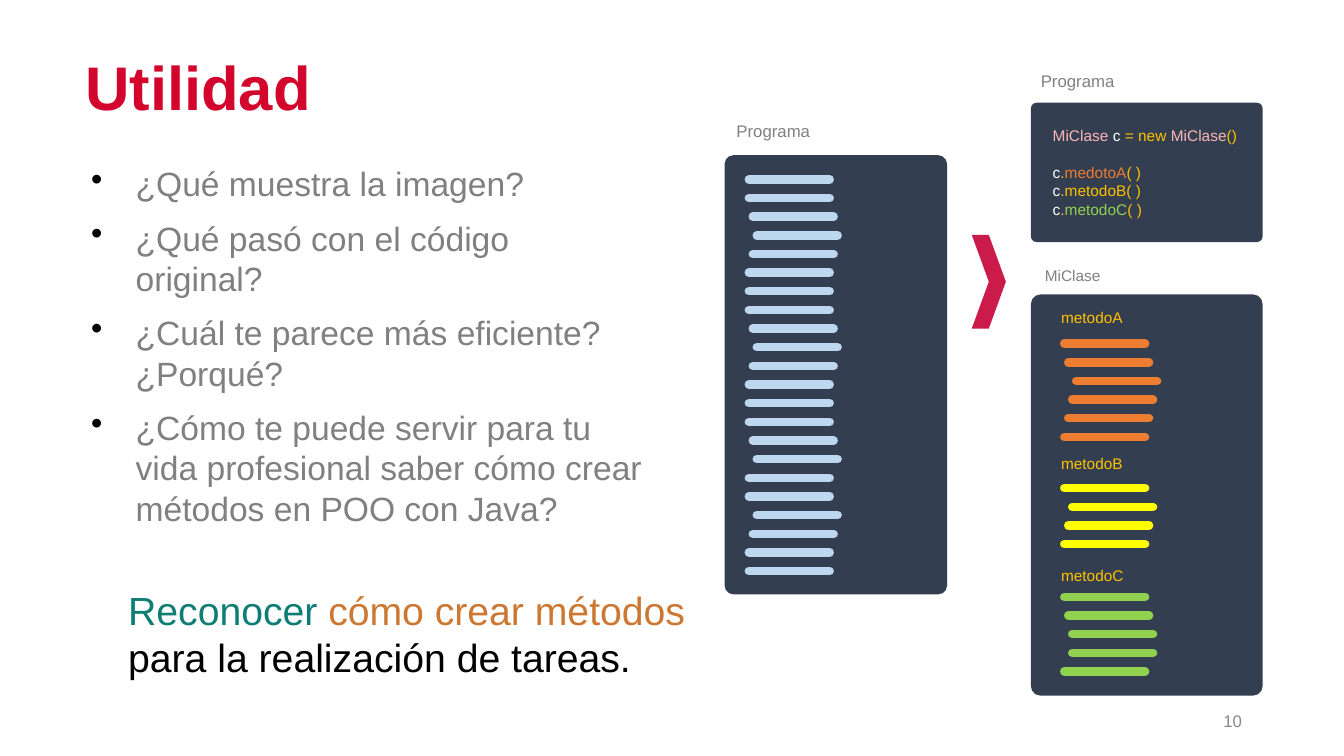
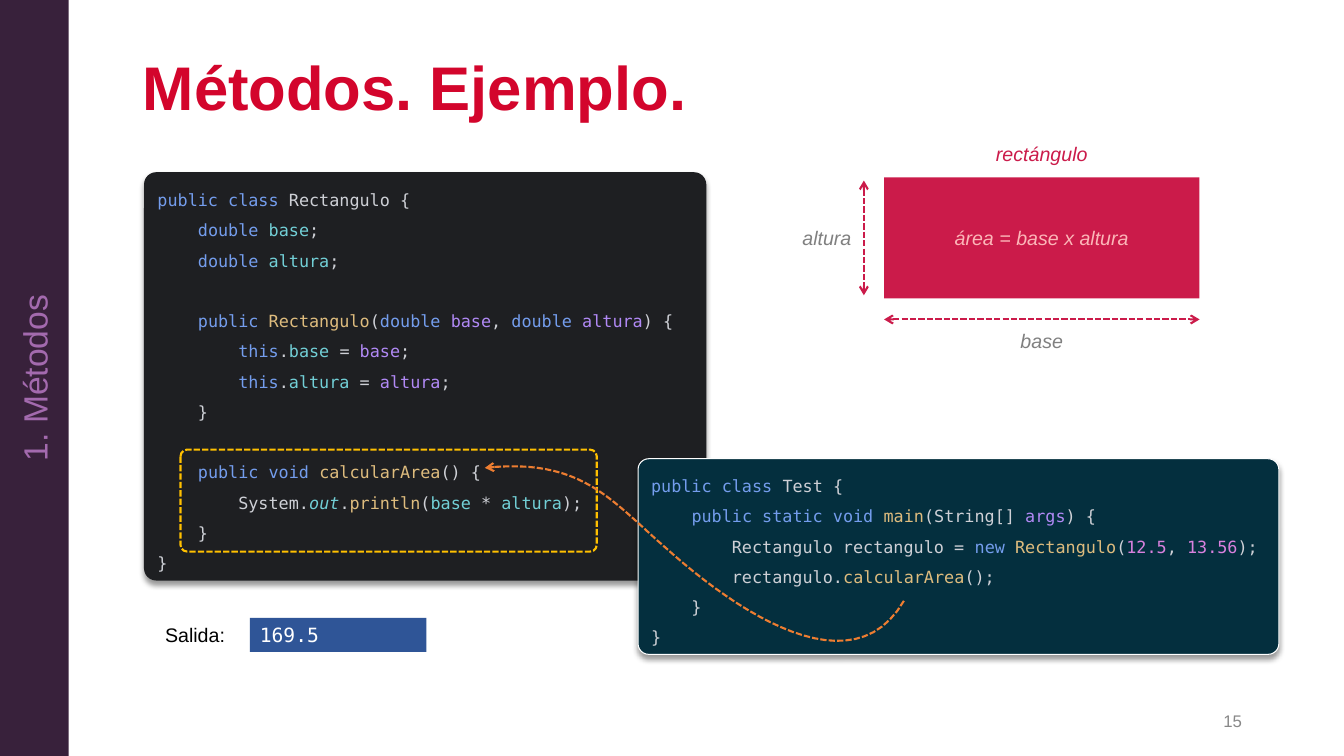
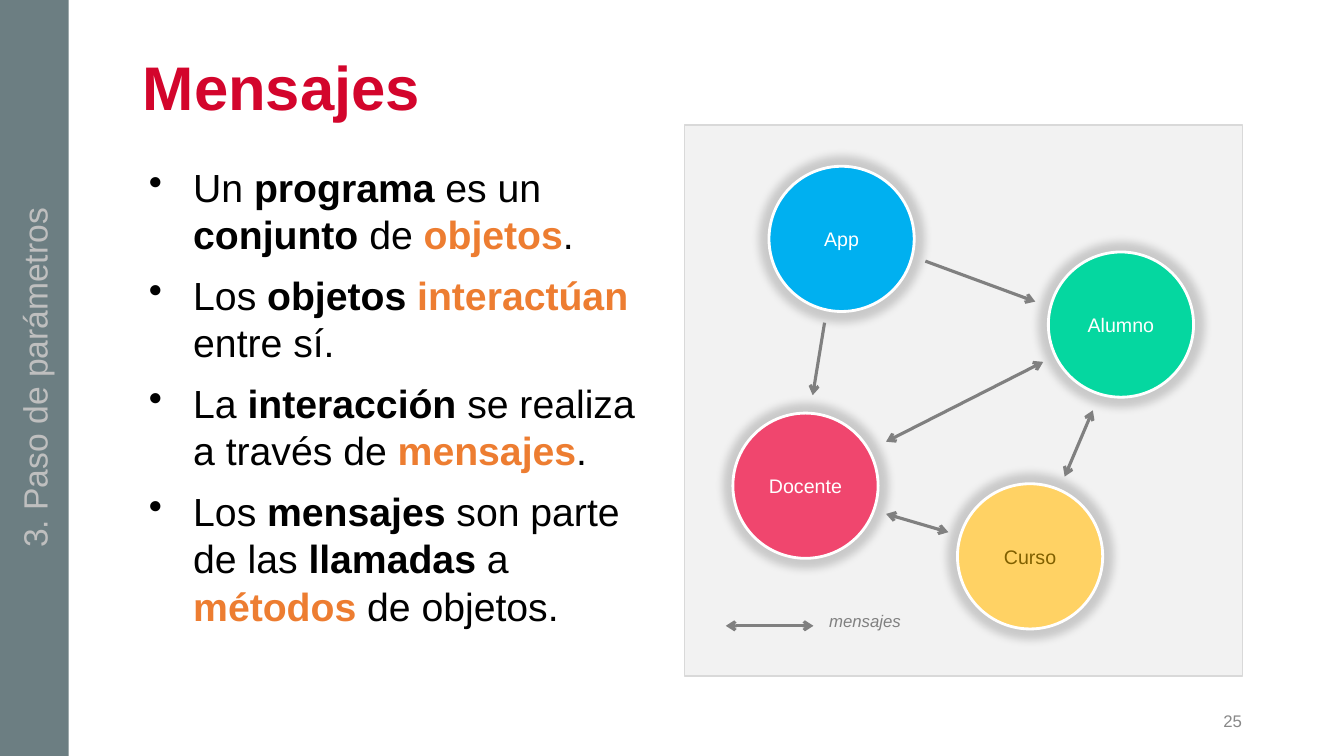
from copy import deepcopy

from lxml.etree import SubElement
from pptx import Presentation
from pptx.dml.color import RGBColor
from pptx.enum.dml import MSO_LINE
from pptx.enum.shapes import MSO_CONNECTOR, MSO_SHAPE
from pptx.enum.text import MSO_ANCHOR, PP_ALIGN
from pptx.oxml.ns import qn
from pptx.util import Cm, Pt

SLIDE_WIDTH, SLIDE_HEIGHT = 33.87, 19.05
TITLE_RIGHT = 31.53
BAND_WIDTH = 1.73

# Colours
RED, CRIMSON, PINK = "D3052C", "CB1B4A", "FCB6B8"
ORANGE, GOLD, GREEN, YELLOW = "ED7D31", "FFC000", "92D050", "FFFF00"
GREY, WHITE, BLACK, SLATE = "808080", "FFFFFF", "000000", "333F50"

# Run formats
STRONG = {"bold": True}
ACCENT = {"bold": True, "color": ORANGE}
KEYWORD, FIELD = {"color": "749DED"}, {"color": "72CFD6"}
STATIC_FIELD = {"color": "72CFD6", "italic": True}
METHOD, PARAMETER = {"color": "DEBC7E"}, {"color": "B189F5"}
NUMBER = {"color": "D981DE"}
CODE_FONT = {"name": "DejaVu Sans Mono", "size": Pt(12), "color": "CED0D6"}
CODE_SHADOW = {"alpha": 40, "blur": 4, "distance": 3}
HALO = {"alpha": 16, "blur": 6, "scale": 112}
CENTRED = {"alignment": PP_ALIGN.CENTER}
MIDDLE = {"vertical_anchor": MSO_ANCHOR.MIDDLE}


def rgb(color):
    return RGBColor.from_string(color)


def set_format(target, values):
    for name, value in values.items():
        if name == "color":
            target.color.rgb = rgb(value)
        else:
            setattr(target, name, value)


# Text

def add_bullet(paragraph):
    properties = paragraph._p.get_or_add_pPr()
    properties.set("marL", str(Cm(1.27)))
    properties.set("indent", str(-Cm(1.12)))
    SubElement(SubElement(properties, qn("a:buClr")), qn("a:srgbClr"), val=BLACK)
    SubElement(properties, qn("a:buChar"), char="•")


def write_runs(paragraph, runs, font):
    for text, run_format in runs:
        for index, piece in enumerate(text.split("\n")):
            if index:
                paragraph.add_line_break()
            if piece:
                run = paragraph.add_run()
                run.text = piece
                set_format(run.font, {**font, **run_format})
    first_run = paragraph._p.r_lst[0]
    for line_break in paragraph._p.findall(qn("a:br")):
        line_break.append(deepcopy(first_run.rPr))


def write(shape, paragraphs, font, layout=None, frame=None, bullets=False, gap=0):
    """Each paragraph is a string or a list of (text, format) runs."""
    text_frame = shape.text_frame
    set_format(text_frame, {"word_wrap": True,
                            "vertical_anchor": MSO_ANCHOR.TOP, **(frame or {})})
    for index, runs in enumerate(paragraphs):
        paragraph = text_frame.add_paragraph() if index else text_frame.paragraphs[0]
        if bullets:
            add_bullet(paragraph)
        set_format(paragraph, {"alignment": PP_ALIGN.LEFT, **(layout or {})})
        if index and gap:
            paragraph.space_before = Pt(gap)
        runs = [(runs, {})] if isinstance(runs, str) else runs
        write_runs(paragraph, runs, {"name": "Arial", **font})


def add_text(slide, box, paragraphs, font, **options):
    shape = slide.shapes.add_textbox(*map(Cm, box))
    write(shape, paragraphs, font, **options)
    return shape


def add_label(slide, center, width, text, **font):
    x, y = center
    add_text(slide, (x - width / 2, y - 0.43, width, 0.86), [text],
             {"size": Pt(14), "italic": True, **font},
             layout=CENTRED, frame={"word_wrap": False})


# Shapes and lines

def add_shadow(shape, alpha, blur, distance=0, scale=100):
    effects = shape.element.spPr.find(qn("a:effectLst"))
    shadow = SubElement(effects, qn("a:outerShdw"), blurRad=str(Pt(blur)),
                        dist=str(Pt(distance)), dir="5400000",
                        sx=str(scale * 1000), sy=str(scale * 1000),
                        algn="ctr" if scale != 100 else "t", rotWithShape="0")
    color = SubElement(shadow, qn("a:srgbClr"), val=BLACK)
    SubElement(color, qn("a:alpha"), val=str(alpha * 1000))


def style_line(shape, color, width, dashed=False, head=False, tail=False, cap=None):
    set_format(shape.line, {"width": Pt(width)})
    shape.line.fill.solid()
    shape.line.color.rgb = rgb(color)
    if dashed:
        shape.line.dash_style = MSO_LINE.SQUARE_DOT
    outline = shape.element.spPr.get_or_add_ln()
    if cap:
        outline.set("cap", cap)
    for name, wanted in (("a:headEnd", head), ("a:tailEnd", tail)):
        if wanted:
            SubElement(outline, qn(name), type="arrow")


def paint(shape, fill=None, line=None, shadow=None):
    shape.shadow.inherit = False
    if fill:
        shape.fill.solid()
        shape.fill.fore_color.rgb = rgb(fill)
    else:
        shape.fill.background()
    if line:
        style_line(shape, **line)
    else:
        shape.line.fill.background()
    if shadow:
        add_shadow(shape, **shadow)


def add_box(slide, box, kind=MSO_SHAPE.RECTANGLE, corner=None, **style):
    shape = slide.shapes.add_shape(kind, *map(Cm, box))
    if corner is not None:
        shape.adjustments[0] = corner
    paint(shape, **style)
    return shape


def add_line(slide, start, end, **style):
    connector = slide.shapes.add_connector(
        MSO_CONNECTOR.STRAIGHT, *map(Cm, (*start, *end)))
    style_line(connector, **style)
    SubElement(connector.element.spPr, qn("a:effectLst"))


def add_curve(slide, start, segments, **line):
    points = []
    origin = start
    for first, second, end in segments:
        for step in range(1, 25):
            t = step / 24
            weights = ((1 - t) ** 3, 3 * t * (1 - t) ** 2, 3 * t * t * (1 - t), t ** 3)
            controls = (origin, first, second, end)
            points.append(tuple(
                Cm(sum(w * point[axis] for w, point in zip(weights, controls)))
                for axis in (0, 1)))
        origin = end
    builder = slide.shapes.build_freeform(Cm(start[0]), Cm(start[1]), scale=1.0)
    builder.add_line_segments(points, close=False)
    paint(builder.convert_to_shape(), line=line)


# Shared slide parts

def start_slide(presentation, title, number, left):
    slide = presentation.slides.add_slide(presentation.slide_layouts[6])
    add_text(slide, (left, 1.2, TITLE_RIGHT - left, 2.18), [title],
             {"size": Pt(44), "bold": True, "color": RED},
             layout={"line_spacing": 0.9}, frame=MIDDLE)
    add_text(slide, (23.93, 17.65, 7.62, 1.02), [str(number)],
             {"size": Pt(12), "color": "888888"},
             layout={"alignment": PP_ALIGN.RIGHT}, frame=MIDDLE)
    return slide


def add_section_band(slide, text, fill, color):
    band = add_box(slide, (0, 0, BAND_WIDTH, SLIDE_HEIGHT), fill=fill)
    write(band, [text], {"size": Pt(24), "color": color}, layout=CENTRED, frame=MIDDLE)
    band.element.txBody.bodyPr.set("vert", "vert270")


def add_bullets(slide, box, paragraphs, size, color):
    add_text(slide, box, paragraphs, {"size": Pt(size), "color": color},
             bullets=True, gap=10)


# Slide 1: one long program against a class with methods

def add_program_panel(slide, box, label, label_offset, size=12):
    left, top = box[:2]
    add_box(slide, box, MSO_SHAPE.ROUNDED_RECTANGLE, 0.041, fill=SLATE)
    add_text(slide, (left + label_offset[0], top + label_offset[1], 2.62, 0.76),
             [label], {"size": Pt(size), "color": GREY})


def add_code_bars(slide, left, top, indents, color):
    for row, indent in enumerate(indents):
        x, y = left + 0.1 * indent, top + 0.47 * row
        add_line(slide, (x, y), (x + 2.04, y), color=color, width=6, cap="rnd")


def add_long_program(slide, box):
    add_program_panel(slide, box, "Programa", (0.05, -0.99))
    indents = (0, 0, 1, 2, 1, 0, 0, 0, 1, 2, 1, 0, 0, 0, 1, 2, 0, 0, 2, 1, 0, 0)
    add_code_bars(slide, box[0] + 0.61, box[1] + 0.61, indents, "BDD7EE")


def add_short_program(slide, box):
    left, top, width, height = box
    add_program_panel(slide, box, "Programa", (0, -0.94))
    font = {"size": Pt(11), "color": GOLD}
    variable, type_name = {"color": WHITE}, {"color": PINK}
    code = add_text(slide, (left + 0.3, top + 0.46, width - 0.6, height - 0.9), [
        [("MiClase ", type_name), ("c", variable), (" = new ", {}),
         ("MiClase", type_name), ("()", {})],
        [("c", variable), (".", {}), ("medotoA", {"color": ORANGE}), ("( )", {})],
        [("c", variable), (".metodoB( )", {})],
        [("c", variable), (".", {}), ("metodoC", {"color": GREEN}), ("( )", {})],
    ], font)
    code.text_frame.paragraphs[1].space_before = Pt(13)


def add_class_panel(slide, box):
    left, top = box[:2]
    add_program_panel(slide, box, "MiClase", (0.1, -0.84), size=11)
    methods = (
        ("metodoA", 0.23, 1.24, (0, 1, 3, 2, 1, 0), ORANGE),
        ("metodoB", 3.91, 4.88, (0, 2, 1, 0), YELLOW),
        ("metodoC", 6.71, 7.62, (0, 1, 2, 2, 0), GREEN),
    )
    for name, name_top, bars_top, indents, color in methods:
        add_text(slide, (left + 0.51, top + name_top, 2.57, 0.74), [name],
                 {"size": Pt(11), "color": GOLD})
        add_code_bars(slide, left + 0.84, top + bars_top, indents, color)


def build_usefulness(presentation):
    slide = start_slide(presentation, "Utilidad", 10, 1.9)
    add_bullets(slide, (1.9, 3.99, 14.55, 10.67), [
        "¿Qué muestra la imagen?",
        "¿Qué pasó con el código original?",
        "¿Cuál te parece más eficiente? ¿Porqué?",
        "¿Cómo te puede servir para tu vida profesional saber cómo crear "
        "métodos en POO con Java?",
    ], 24, GREY)
    goal = add_text(slide, (2.34, 14.66, 16.99, 2.64), [[
        ("Reconocer ", {"color": "0E7D73"}),
        ("cómo crear métodos ", {"color": "CC7832"}),
        ("para la realización de tareas.", {}),
    ]], {"size": Pt(28), "color": BLACK})
    goal.text_frame.margin_left = Cm(0.89)
    add_long_program(slide, (18.26, 3.91, 5.61, 11.07))
    add_short_program(slide, (25.98, 2.59, 5.84, 3.51))
    add_class_panel(slide, (25.98, 7.42, 5.84, 10.11))
    add_box(slide, (24.49, 5.92, 0.86, 2.36), MSO_SHAPE.CHEVRON, fill=CRIMSON)


# Slide 2: code example

RECTANGLE_CODE = [
    ("public class ", KEYWORD), ("Rectangulo {\n    ", {}),
    ("double ", KEYWORD), ("base", FIELD), (";\n    ", {}),
    ("double ", KEYWORD), ("altura", FIELD), (";\n\n    ", {}),
    ("public ", KEYWORD), ("Rectangulo", METHOD), ("(", {}),
    ("double ", KEYWORD), ("base", PARAMETER), (", ", {}),
    ("double ", KEYWORD), ("altura", PARAMETER), (") {\n        ", {}),
    ("this", KEYWORD), (".", {}), ("base ", FIELD), ("= ", {}),
    ("base", PARAMETER), (";\n        ", {}),
    ("this", KEYWORD), (".", {}), ("altura ", FIELD), ("= ", {}),
    ("altura", PARAMETER), (";\n    }\n\n    ", {}),
    ("public void ", KEYWORD), ("calcularArea", METHOD), ("() {\n        System.", {}),
    ("out", STATIC_FIELD), (".", {}), ("println", METHOD), ("(", {}),
    ("base ", FIELD), ("* ", {}), ("altura", FIELD), (");\n    }\n}", {}),
]
TEST_CODE = [
    ("public class ", KEYWORD), ("Test {\n    ", {}),
    ("public static void ", KEYWORD), ("main", METHOD), ("(String[] ", {}),
    ("args", PARAMETER), (") {\n        Rectangulo rectangulo = ", {}),
    ("new ", KEYWORD), ("Rectangulo", METHOD), ("(", {}), ("12.5", NUMBER),
    (", ", {}), ("13.56", NUMBER), (");\n        rectangulo.", {}),
    ("calcularArea", METHOD), ("();\n    }\n}", {}),
]


def add_code_panel(slide, box, code, fill, corner, line=None, wrap=True):
    panel = add_box(slide, box, MSO_SHAPE.ROUNDED_RECTANGLE, corner,
                    fill=fill, line=line, shadow=CODE_SHADOW)
    write(panel, [code], CODE_FONT, layout={"line_spacing": 1.5},
          frame={**MIDDLE, "word_wrap": wrap})


def add_output(slide, box):
    left, top, width, height = box
    value = add_box(slide, (left + 2.39, top, width - 2.39, height), fill="2F5597")
    write(value, ["169.5"], {"name": "DejaVu Sans Mono", "size": Pt(14), "color": WHITE})
    add_text(slide, (left, top, 2.13, height), ["Salida:"],
             {"size": Pt(14), "color": BLACK})


def add_rectangle_diagram(slide, box):
    left, top, width, height = box
    middle_x, middle_y = left + width / 2, top + height / 2
    add_box(slide, box, fill=CRIMSON)
    arrow = {"color": CRIMSON, "width": 1.5, "dashed": True, "head": True, "tail": True}
    add_line(slide, (left - 0.51, top + 0.08), (left - 0.51, top + height - 0.08), **arrow)
    add_line(slide, (left, top + height + 0.53), (left + width, top + height + 0.53), **arrow)
    add_label(slide, (middle_x, top + height + 1.08), 1.6, "base", color=GREY)
    add_label(slide, (left - 1.44, middle_y), 1.75, "altura", color=GREY)
    add_label(slide, (middle_x, middle_y), 4.93, "área = base x altura", color=PINK)
    add_label(slide, (middle_x, top - 0.58), 2.84, "rectángulo", color=CRIMSON)


def build_example(presentation):
    slide = start_slide(presentation, "Métodos. Ejemplo.", 15, 3.35)
    add_section_band(slide, "1. Métodos", "38213B", "A36AAE")
    add_code_panel(slide, (3.63, 4.34, 14.17, 10.29), RECTANGLE_CODE, "1E1F22", 0.03)
    add_code_panel(slide, (16.08, 11.56, 16.15, 4.93), TEST_CODE, "042F3E", 0.055,
                   line={"color": WHITE, "width": 0.75}, wrap=False)
    add_output(slide, (3.91, 15.57, 6.84, 0.86))
    # Called method and the arrow from its call
    add_box(slide, (4.55, 11.33, 10.49, 2.57), MSO_SHAPE.ROUNDED_RECTANGLE, 0.066,
            line={"color": GOLD, "width": 1.5, "dashed": True})
    add_curve(slide, (22.78, 15.14), [
        ((21.49, 17.37), (18.59, 15.44), (16.76, 13.79)),
        ((15.37, 12.57), (14.63, 11.53), (12.22, 11.79)),
    ], color=ORANGE, width=1.5, dashed=True, tail=True)
    add_rectangle_diagram(slide, (22.28, 4.47, 7.95, 3.05))


# Slide 3: objects and messages

def add_message_diagram(slide, box):
    left, top = box[:2]
    add_box(slide, box, fill="F2F2F2", line={"color": "D9D9D9", "width": 1})
    objects = (
        ("Docente", 1.22, 7.26, "F0466E", WHITE),
        ("Alumno", 9.17, 3.2, "05D7A0", WHITE),
        ("Curso", 6.88, 9.04, "FFD264", "806000"),
        ("App", 2.13, 1.04, "00B0F0", WHITE),
    )
    for name, x, y, fill, color in objects:
        circle = add_box(slide, (left + x, top + y, 3.66, 3.66), MSO_SHAPE.OVAL, fill=fill,
                         line={"color": WHITE, "width": 2}, shadow=HALO)
        write(circle, [name], {"size": Pt(14), "color": color},
              layout=CENTRED, frame=MIDDLE)
    messages = (
        ((6.07, 3.43), (8.84, 4.45), False),
        ((3.53, 4.98), (3.23, 6.81), False),
        ((9.04, 5.97), (5.08, 7.98), True),
        ((10.29, 7.19), (9.58, 8.86), True),
        ((5.08, 9.8), (6.65, 10.26), True),
        ((1.04, 12.62), (3.25, 12.62), True),
    )
    for start, end, both_ways in messages:
        add_line(slide, (left + start[0], top + start[1]), (left + end[0], top + end[1]),
                 color=GREY, width=2.25, head=both_ways, tail=True)
    add_label(slide, (left + 4.55, top + 12.55), 2.34, "mensajes",
              size=Pt(12), color=GREY)


def build_messages(presentation):
    slide = start_slide(presentation, "Mensajes", 25, 3.35)
    add_section_band(slide, "3. Paso de parámetros", "6C7E82", "BFBFBF")
    add_bullets(slide, (3.35, 3.99, 13.59, 13.28), [
        [("Un ", {}), ("programa", STRONG), (" es un ", {}), ("conjunto", STRONG),
         (" de ", {}), ("objetos", ACCENT), (".", {})],
        [("Los ", {}), ("objetos ", STRONG), ("interactúan", ACCENT), (" entre sí.", {})],
        [("La ", {}), ("interacción", STRONG), (" se realiza a través de ", {}),
         ("mensajes", ACCENT), (".", {})],
        [("Los ", {}), ("mensajes", STRONG), (" son parte de las ", {}),
         ("llamadas", STRONG), (" a ", {}), ("métodos", ACCENT), (" de objetos.", {})],
    ], 28, BLACK)
    add_message_diagram(slide, (17.25, 3.15, 14.07, 13.89))


def main():
    presentation = Presentation()
    presentation.slide_width = Cm(SLIDE_WIDTH)
    presentation.slide_height = Cm(SLIDE_HEIGHT)
    for build in (build_usefulness, build_example, build_messages):
        build(presentation)
    presentation.save("out.pptx")


if __name__ == "__main__":
    main()
